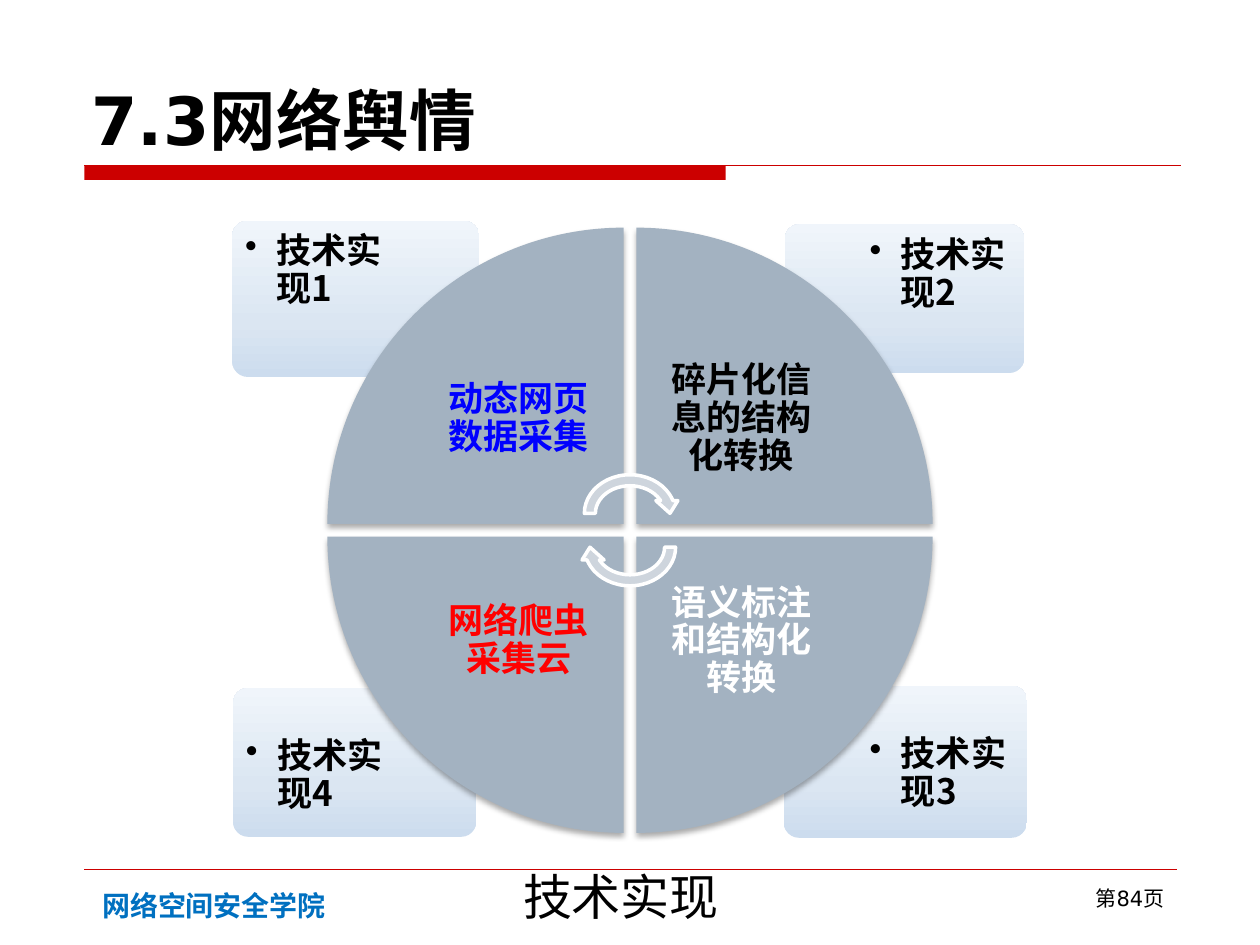
from copy import deepcopy
from math import sqrt

from lxml.etree import SubElement
from pptx import Presentation
from pptx.dml.color import RGBColor
from pptx.enum.shapes import MSO_CONNECTOR, MSO_SHAPE
from pptx.enum.text import MSO_ANCHOR, PP_ALIGN
from pptx.oxml.ns import qn
from pptx.util import Cm, Pt

BLACK = RGBColor(0x00, 0x00, 0x00)
WHITE = RGBColor(0xFF, 0xFF, 0xFF)
BLUE = RGBColor(0x00, 0x00, 0xFF)
RED = RGBColor(0xFF, 0x00, 0x00)
RULE_RED = RGBColor(0xCC, 0x00, 0x00)
SCHOOL_BLUE = RGBColor(0x00, 0x70, 0xC0)
WEDGE_GREY = RGBColor(0xA3, 0xB2, 0xC1)
ARROW_GREY = RGBColor(0xCE, 0xD5, 0xDD)
CARD_BOTTOM = RGBColor(0xCC, 0xDC, 0xEE)
CARD_MIDDLE = RGBColor(0xDB, 0xE6, 0xF2)
CARD_TOP = RGBColor(0xF0, 0xF5, 0xFB)

CJK_FONT = "Noto Sans CJK SC"
LATIN_FONT = "DejaVu Sans"

# Clockwise from top left: column, row, card box in cm, card text, wedge text, colour
QUARTERS = [
    (0, 0, (0, 0, 4.98, 3.15), "技术实现1", "动态网页数据采集", BLUE),
    (1, 0, (11.14, 0.07, 4.83, 3), "技术实现2", "碎片化信息的结构化转换", BLACK),
    (1, 1, (11.12, 9.37, 4.9, 3.07), "技术实现3", "语义标注和结构化转换", WHITE),
    (0, 1, (0.02, 9.42, 4.9, 3), "技术实现4", "网络爬虫采集云", RED),
]


def write_text(shape, text, size, color, font=CJK_FONT, bold=False,
               align=PP_ALIGN.LEFT, anchor=MSO_ANCHOR.TOP, wrap=True,
               inset=None, spacing=None, bullet=False):
    frame = shape.text_frame
    frame.word_wrap = wrap
    frame.vertical_anchor = anchor
    if inset is not None:
        frame.margin_left = frame.margin_right = inset
        frame.margin_top = frame.margin_bottom = inset
    paragraph = frame.paragraphs[0]
    paragraph.text = text
    paragraph.alignment = align
    paragraph.line_spacing = spacing
    properties = paragraph._p.get_or_add_pPr()
    if bullet:
        properties.set("marL", str(Cm(0.63)))
        properties.set("indent", str(Cm(-0.63)))
        SubElement(properties, qn("a:buChar"), char="•")
    paragraph.font.size = Pt(size)
    paragraph.font.bold = bold
    paragraph.font.color.rgb = color
    paragraph.font.name = font
    defaults = properties.find(qn("a:defRPr"))
    SubElement(defaults, qn("a:ea"), typeface=CJK_FONT)


def add_text(slide, box, text, size, color, **options):
    shape = slide.shapes.add_textbox(*(Cm(length) for length in box))
    write_text(shape, text, size, color, **options)


def add_filled(slide, kind, box, color=None):
    shape = slide.shapes.add_shape(kind, *(Cm(length) for length in box))
    shape.shadow.inherit = False
    shape.line.fill.background()
    if color is not None:
        shape.fill.solid()
        shape.fill.fore_color.rgb = color
    return shape


def add_rule(slide, left, top, width, weight):
    line = slide.shapes.add_connector(
        MSO_CONNECTOR.STRAIGHT, Cm(left), Cm(top), Cm(left + width), Cm(top))
    line.line.color.rgb = RULE_RED
    line.line.width = Pt(weight)
    SubElement(line._element.spPr, qn("a:effectLst"))


def add_header(slide, left, top, width, height):
    add_text(slide, (left - 0.1, top, width + 0.1, height), "7.3网络舆情", 38, BLACK,
             font=LATIN_FONT, bold=True, anchor=MSO_ANCHOR.BOTTOM)
    bottom = top + height
    add_filled(slide, MSO_SHAPE.RECTANGLE, (left, bottom, 12.93, 0.3), RULE_RED)
    add_rule(slide, left, bottom, width, 0.75)


def add_footer(slide, left, top, width):
    add_rule(slide, left, top, width, 0.25)
    add_text(slide, (left + 0.1, top + 0.25, 5.03, 0.94), "网络空间安全学院", 16,
             SCHOOL_BLUE, bold=True, align=PP_ALIGN.CENTER, wrap=False)
    add_text(slide, (left + width - 5.51, top + 0.2, 5.51, 0.94), "第84页", 12, BLACK,
             font=LATIN_FONT, align=PP_ALIGN.RIGHT)
    title = slide.shapes.title
    title.left, title.top = Cm(left + 8.59), Cm(top - 0.2)
    title.width, title.height = Cm(4.93), Cm(1.45)
    write_text(title, "技术实现", 28, BLACK, anchor=MSO_ANCHOR.BOTTOM)


def add_card(slide, left, top, width, height, column, row, text):
    """Rounded card whose text sits in its outer corner."""
    card = add_filled(slide, MSO_SHAPE.ROUNDED_RECTANGLE, (left, top, width, height))
    card.adjustments[0] = 0.1
    card.fill.gradient()
    card.fill.gradient_angle = 90
    first, last = card.fill.gradient_stops
    first.color.rgb, first.position = CARD_MIDDLE, 0.35
    middle = deepcopy(first._gs)
    first.color.rgb, first.position = CARD_BOTTOM, 0
    last.color.rgb, last.position = CARD_TOP, 1
    first._gs.addnext(middle)

    edge = 0.06
    text_width, text_height = width * 0.675, height * 0.71
    text_left = left + (width - text_width - edge if column else edge)
    text_top = top + (height - text_height - edge if row else edge)
    add_text(slide, (text_left, text_top, text_width, text_height), text, 20, BLACK,
             bold=True, inset=Cm(0.2), spacing=0.9, bullet=True)


def add_wedge_shadow(shape):
    effects = shape._element.spPr.find(qn("a:effectLst"))
    shadow = SubElement(effects, qn("a:outerShdw"), blurRad=str(Pt(3.5)),
                        dist=str(Pt(2.2)), dir="5400000", rotWithShape="0")
    color = SubElement(shadow, qn("a:srgbClr"), val=str(BLACK))
    SubElement(color, qn("a:alpha"), val="32000")


def add_cycle(slide, left, top, width, height):
    """Four wedges around the centre of the box, with a card behind each."""
    center_x, center_y = left + width / 2, top + height / 2
    radius, half_gap = 5.97, 0.13
    text_side = radius / sqrt(2)

    def quarter_box(column, row, side):
        return (center_x + (half_gap if column else -half_gap - side),
                center_y + (half_gap if row else -half_gap - side), side, side)

    for column, row, (x, y, card_width, card_height), label, _, _ in QUARTERS:
        add_card(slide, left + x, top + y, card_width, card_height, column, row, label)
    for index, (column, row, _, _, text, color) in enumerate(QUARTERS):
        wedge = add_filled(slide, MSO_SHAPE.PIE_WEDGE,
                           quarter_box(column, row, radius), WEDGE_GREY)
        wedge.rotation = 90 * index
        add_wedge_shadow(wedge)
        add_text(slide, quarter_box(column, row, text_side), text, 20, color, bold=True,
                 align=PP_ALIGN.CENTER, anchor=MSO_ANCHOR.MIDDLE, inset=Cm(0.4),
                 spacing=0.9)

    arrow_width, arrow_height = 2.06, 1.78
    for offset, rotation in ((-0.34, 0), (0.34, 180)):
        arrow = add_filled(slide, MSO_SHAPE.CIRCULAR_ARROW,
                           (center_x - arrow_width / 2,
                            center_y + offset - arrow_height / 2,
                            arrow_width, arrow_height), ARROW_GREY)
        arrow.rotation = rotation
        arrow.line.color.rgb = WHITE
        arrow.line.width = Pt(2)


def main():
    presentation = Presentation()
    presentation.slide_width, presentation.slide_height = Cm(25.4), Cm(19.05)
    slide = presentation.slides.add_slide(presentation.slide_layouts[5])
    add_header(slide, 1.7, 0.69, 22.1, 2.64)
    add_cycle(slide, 4.68, 4.45, 16.04, 12.48)
    add_footer(slide, 1.7, 17.53, 22.02)
    presentation.save("out.pptx")


if __name__ == "__main__":
    main()
